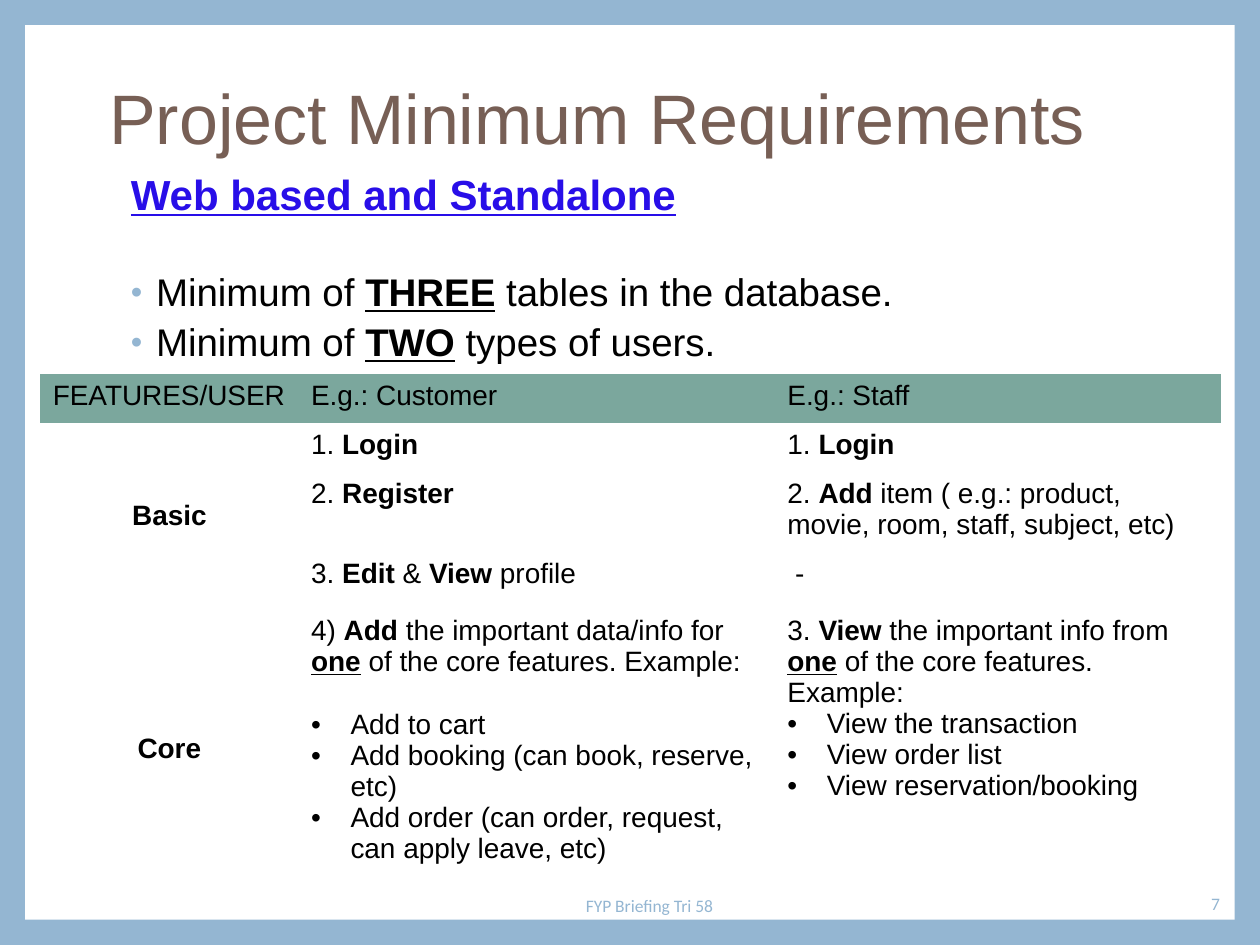
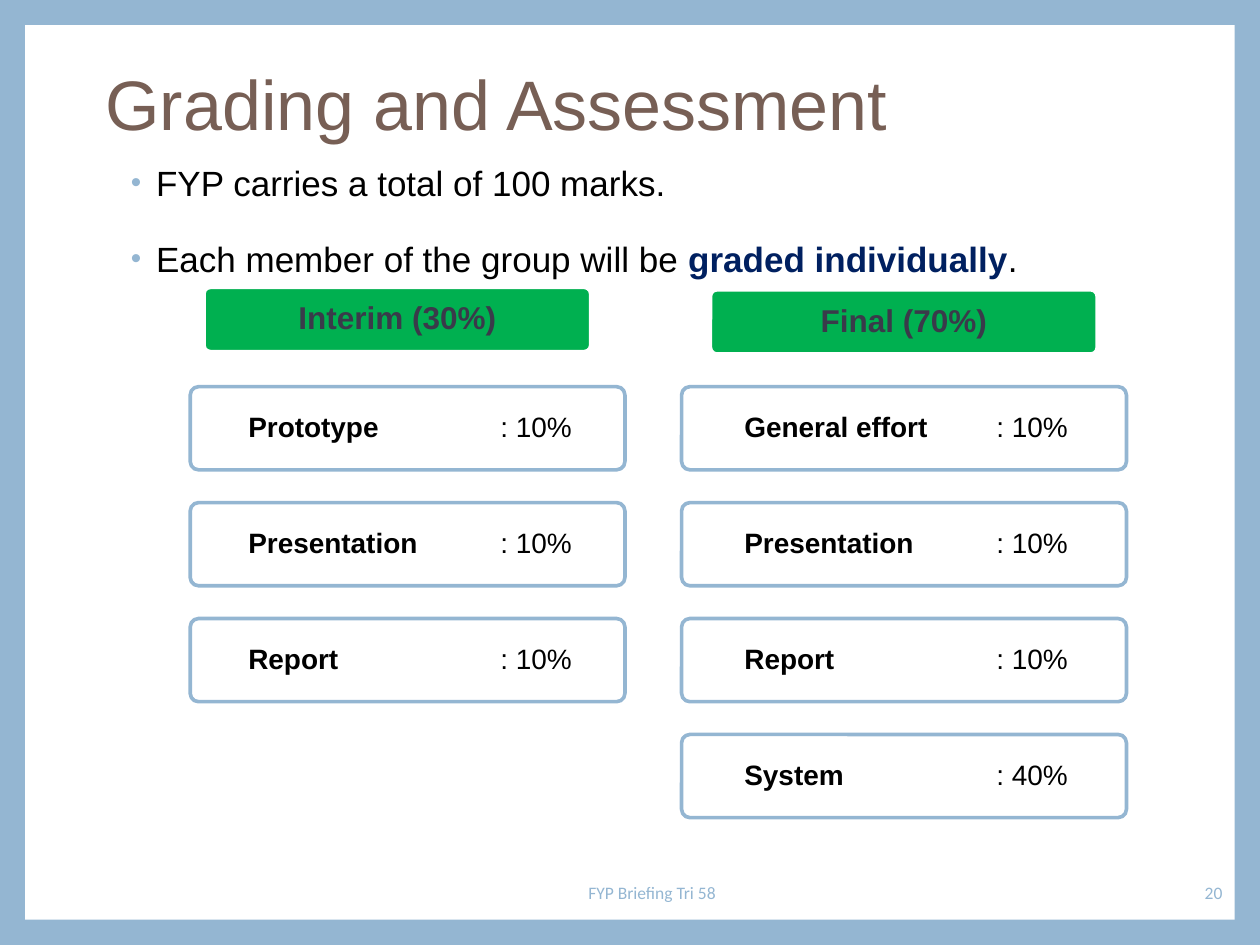
from dataclasses import dataclass
from typing import NamedTuple

from lxml import etree
from pptx import Presentation
from pptx.dml.color import RGBColor
from pptx.enum import shapes, text
from pptx.oxml import ns
from pptx.util import Pt

COLORS = {
    "blue": "94B6D2", "white": "FFFFFF", "brown": "775F55", "black": "000000",
    "link": "280EE8", "teal": "7BA79D", "navy": "002060", "green": "00B050",
    "slate": "3A3A4A",
}
NO_STYLE = "{2D5ABB26-0587-4C30-8999-92F81FD0307C}"
FOOTER = "FYP Briefing Tri 58"
CARD_TOP, CARD_HEIGHT, CARD_STEP = 221, 47.5, 66.24
HEADER_WIDTH, HEADER_HEIGHT = 221, 36.7
LABEL_TO_SCORE = 144


class Box(NamedTuple):
    left: float
    top: float
    width: float
    height: float

    def points(self) -> list:
        return [Pt(value) for value in self]


@dataclass
class Line:
    text: str
    before: float = 0
    bullet: str = ""
    size: float = 0
    color: str = ""


@dataclass
class ScoreColumn:
    title: str
    header_left: float
    header_top: float
    card_left: float
    card_width: float
    indent: float
    scores: list


def rgb(name: str) -> RGBColor:
    return RGBColor.from_string(COLORS[name])


def add_child(parent, tag: str, **attributes):
    return etree.SubElement(parent, ns.qn(tag), **attributes)


def set_bullet(paragraph, color: str, hang: float, percent: int) -> None:
    properties = paragraph._p.get_or_add_pPr()
    properties.set("marL", str(Pt(hang)))
    properties.set("indent", str(-Pt(hang)))
    add_child(add_child(properties, "a:buClr"), "a:srgbClr", val=COLORS[color])
    add_child(properties, "a:buSzPct", val=str(percent * 1000))
    add_child(properties, "a:buFont", typeface="Arial")
    add_child(properties, "a:buChar", char="•")


def set_tab(paragraph, position: float) -> None:
    stops = add_child(paragraph._p.get_or_add_pPr(), "a:tabLst")
    add_child(stops, "a:tab", pos=str(Pt(position)), algn="l")


def write(frame, lines, *, size: float, color: str = "black", font: str = "Arial",
          align=text.PP_ALIGN.LEFT, spacing: float = 1.0, bold_color: str = "",
          hang: float = 14.4, percent: int = 85, tab: float = 0) -> None:
    """Words between asterisks are bold; a leading underscore also underlines them."""
    for number, line in enumerate(lines):
        paragraph = frame.add_paragraph() if number else frame.paragraphs[0]
        paragraph.alignment = align
        paragraph.line_spacing = spacing
        paragraph.space_before = Pt(line.before)
        if line.bullet:
            set_bullet(paragraph, line.bullet, hang, percent)
        if tab:
            set_tab(paragraph, tab)
        for index, part in enumerate(line.text.split("*")):
            if not part:
                continue
            bold = index % 2 == 1
            run = paragraph.add_run()
            run.text = part.removeprefix("_")
            run.font.name = font
            run.font.size = Pt(line.size or size)
            run.font.bold = bold
            run.font.underline = part.startswith("_")
            run.font.color.rgb = rgb(bold and bold_color or line.color or color)


def add_text(slide, box: Box, lines, *, anchor=text.MSO_ANCHOR.TOP, **style) -> None:
    frame = slide.shapes.add_textbox(*box.points()).text_frame
    frame.word_wrap = True
    frame.vertical_anchor = anchor
    write(frame, lines, **style)


def add_panel(slide, box: Box, fill: str, line: str = "", rounded: bool = False):
    kind = shapes.MSO_SHAPE.ROUNDED_RECTANGLE if rounded else shapes.MSO_SHAPE.RECTANGLE
    shape = slide.shapes.add_shape(kind, *box.points())
    shape.shadow.inherit = False
    shape.fill.solid()
    shape.fill.fore_color.rgb = rgb(fill)
    if rounded:
        shape.adjustments[0] = 0.1
    if line:
        shape.line.color.rgb = rgb(line)
        shape.line.width = Pt(2.08)
    else:
        shape.line.fill.background()
    frame = shape.text_frame
    frame.word_wrap = True
    frame.vertical_anchor = text.MSO_ANCHOR.MIDDLE
    frame.margin_left = frame.margin_right = Pt(2.5)
    frame.margin_top = frame.margin_bottom = Pt(1.5)
    return shape


def start_slide(presentation, title: str, title_left: float, title_top: float):
    slide = presentation.slides.add_slide(presentation.slide_layouts[6])
    slide.background.fill.solid()
    slide.background.fill.fore_color.rgb = rgb("blue")
    add_panel(slide, Box(14.4, 14.4, 691.2, 511.2), "white")
    add_text(slide, Box(title_left, title_top, 583.2, 106.5), [Line(title)],
             anchor=text.MSO_ANCHOR.MIDDLE, size=40, color="brown", spacing=0.9)
    return slide


def add_footer(slide, number: int, footer: Box, number_box: Box) -> None:
    for box, words, align in ((footer, FOOTER, text.PP_ALIGN.CENTER),
                              (number_box, str(number), text.PP_ALIGN.RIGHT)):
        add_text(slide, box, [Line(words)], anchor=text.MSO_ANCHOR.MIDDLE,
                 size=10, color="blue", font="Calibri", align=align)


def listed(intro: str, items: list, gap: float = 0) -> list:
    return [Line(intro)] + [Line(item, before=0 if index else gap, bullet="black")
                            for index, item in enumerate(items)]


def add_feature_table(slide) -> None:
    customer_core = listed(
        "4) *Add *the important data/info for *_one* of the core features. Example:",
        ["Add to cart", "Add booking (can book, reserve, etc)",
         "Add order (can order, request, can apply leave, etc)"], gap=18.4)
    staff_core = listed(
        "3. *View* the important info from *_one* of the core features. Example:",
        ["View the transaction", "View order list", "View reservation/booking"])
    rows = [
        ["FEATURES/USER", "E.g.: Customer", "E.g.: Staff"],
        ["*Basic*", "1. *Login*", "1. *Login*"],
        ["", "2. *Register*",
         "2. *Add* item ( e.g.: product, movie, room, staff, subject, etc)"],
        ["", "3. *Edit* & *View* profile", " -"],
        ["*Core*", customer_core, staff_core],
    ]
    widths, heights = [147.6, 272.2, 254.9], [28, 28, 44, 32.4, 132.5]
    box = Box(23, 213.8, sum(widths), sum(heights))
    graphic = slide.shapes.add_table(len(rows), len(widths), *box.points())
    next(graphic._element.iter(ns.qn("a:tableStyleId"))).text = NO_STYLE
    table = graphic.table
    table.first_row = table.horz_banding = False
    for column, width in zip(table.columns, widths):
        column.width = Pt(width)
    for row, height in zip(table.rows, heights):
        row.height = Pt(height)
    table.cell(1, 0).merge(table.cell(3, 0))
    for row_index, row in enumerate(rows):
        for column_index, content in enumerate(row):
            cell = table.cell(row_index, column_index)
            if row_index == 0:
                cell.fill.solid()
                cell.fill.fore_color.rgb = rgb("teal")
            else:
                cell.fill.background()
            if not content:
                continue
            label = row_index > 0 and column_index == 0
            if label:
                cell.vertical_anchor = text.MSO_ANCHOR.MIDDLE
            lines = [Line(content)] if isinstance(content, str) else content
            write(cell.text_frame, lines, size=16, hang=22.5, percent=100,
                  align=text.PP_ALIGN.CENTER if label else text.PP_ALIGN.LEFT)


def add_score_column(slide, column: ScoreColumn) -> None:
    header = add_panel(slide, Box(column.header_left, column.header_top,
                                  HEADER_WIDTH, HEADER_HEIGHT),
                       "green", "white", rounded=True)
    write(header.text_frame, [Line(f"*{column.title}*")], size=18, color="slate",
          align=text.PP_ALIGN.CENTER, spacing=0.9)
    for index, (name, score) in enumerate(column.scores):
        card = add_panel(slide, Box(column.card_left, CARD_TOP + index * CARD_STEP,
                                    column.card_width, CARD_HEIGHT),
                         "white", "blue", rounded=True)
        card.text_frame.margin_left = Pt(column.indent)
        write(card.text_frame, [Line(f"*{name}*\t: {score}%")], size=16,
              spacing=0.9, tab=LABEL_TO_SCORE)


def build_requirements(presentation) -> None:
    slide = start_slide(presentation, "Project Minimum Requirements", 55.4, 16.6)
    add_text(slide, Box(67.7, 95.8, 583.2, 318.2), [
        Line("*_Web based and Standalone*", size=24, color="link"),
        Line("Minimum of *_THREE* tables in the database.", before=31, bullet="blue"),
        Line("Minimum of *_TWO* types of users.", before=4.8, bullet="blue"),
    ], size=22, spacing=0.9)
    add_feature_table(slide)
    add_footer(slide, 7, Box(231.8, 503.3, 278.6, 28.8), Box(603.4, 501.8, 100.8, 28.8))


def build_grading(presentation) -> None:
    slide = start_slide(presentation, "Grading and Assessment", 53.3, 8.6)
    add_text(slide, Box(67.7, 93.6, 583.2, 425.5), [
        Line("FYP carries a total of 100 marks.", bullet="blue"),
        Line("Each member of the group will be *graded individually*.",
             before=24, bullet="blue"),
    ], size=20, spacing=0.8, bold_color="navy")
    for column in (
        ScoreColumn("Interim (30%)", 116.6, 164.2, 108.7, 248.4, 31.8,
                    [("Prototype", 10), ("Presentation", 10), ("Report", 10)]),
        ScoreColumn("Final (70%)", 406, 165.6, 389.5, 254.2, 34.5,
                    [("General effort", 10), ("Presentation", 10),
                     ("Report", 10), ("System", 40)]),
    ):
        add_score_column(slide, column)
    add_footer(slide, 20, Box(233.3, 495.4, 278.6, 28.8), Box(604.8, 495.4, 100.8, 28.8))


def main() -> None:
    presentation = Presentation()
    presentation.slide_width, presentation.slide_height = Pt(720), Pt(540)
    build_requirements(presentation)
    build_grading(presentation)
    presentation.save("out.pptx")


if __name__ == "__main__":
    main()
